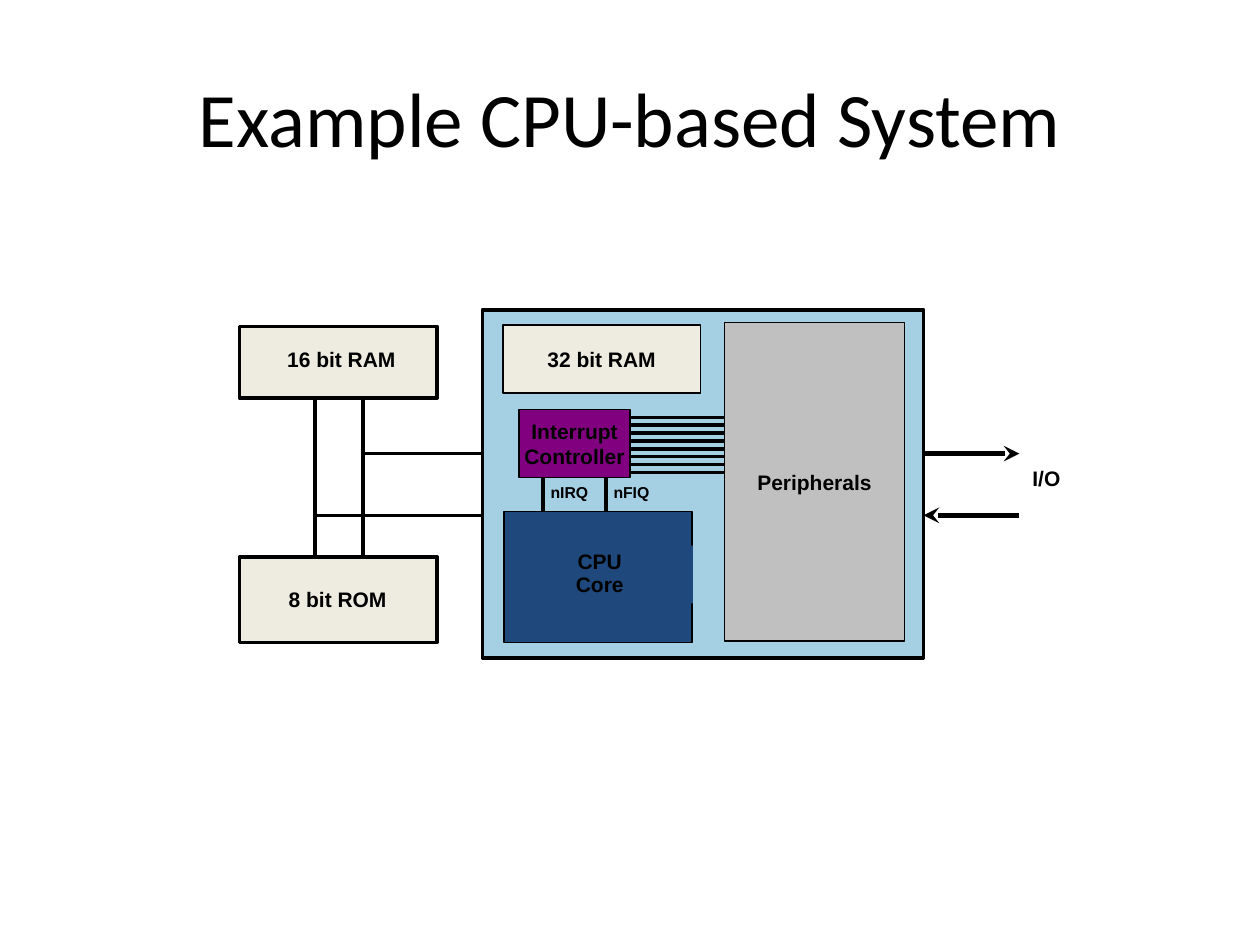
import pptx
import pptx.dml.color
import pptx.enum.shapes
import pptx.enum.text
import pptx.oxml.ns
import pptx.util
from lxml import etree

PX = 9144  # EMU in one px, 100 px to the inch
BLACK, CREAM, NAVY = "000000", "EEECE1", "1F497D"
ALIGN = pptx.enum.text.PP_ALIGN
ANCHOR = pptx.enum.text.MSO_ANCHOR


def px(*lengths):
    return [pptx.util.Emu(round(length * PX)) for length in lengths]


def color(value):
    return pptx.dml.color.RGBColor.from_string(value)


def write(shape, text, size=12, font="Arial", bold=True, align=ALIGN.CENTER,
          anchor=ANCHOR.MIDDLE, wrap=False, spacing=None, margins=(9, 5)):
    frame = shape.text_frame
    frame.word_wrap = wrap
    frame.vertical_anchor = anchor
    frame.margin_left = frame.margin_right = px(margins[0])[0]
    frame.margin_top = frame.margin_bottom = px(margins[1])[0]
    frame.text = text
    for paragraph in frame.paragraphs:
        paragraph.alignment = align
        if spacing:
            paragraph.line_spacing = spacing
        paragraph.font.size = pptx.util.Pt(size)
        paragraph.font.name = font
        paragraph.font.bold = bold
        paragraph.font.color.rgb = color(BLACK)


def add_block(slide, box, fill, line_width=1):
    shape = slide.shapes.add_shape(pptx.enum.shapes.MSO_SHAPE.RECTANGLE, *px(*box))
    shape.shadow.inherit = False
    shape.fill.solid()
    shape.fill.fore_color.rgb = color(fill)
    if line_width:
        shape.line.color.rgb = color(BLACK)
        shape.line.width = pptx.util.Pt(line_width)
    else:
        shape.line.fill.background()
    return shape


def add_label(slide, box, text, **formatting):
    options = {"anchor": ANCHOR.TOP, "wrap": True, "spacing": 0.9, **formatting}
    write(slide.shapes.add_textbox(*px(*box)), text, **options)


def add_wire(slide, start, end, width=2, arrow=False):
    wire = slide.shapes.add_connector(
        pptx.enum.shapes.MSO_CONNECTOR.STRAIGHT, *px(*start, *end))
    wire.line.color.rgb = color(BLACK)
    wire.line.width = pptx.util.Pt(width)
    if arrow:
        etree.SubElement(wire.line._get_or_add_ln(),
                         pptx.oxml.ns.qn("a:tailEnd"), type="stealth")
    etree.SubElement(wire._element.spPr, pptx.oxml.ns.qn("a:effectLst"))


def add_title(slide, box, text):
    title = slide.shapes.title
    title.left, title.top, title.width, title.height = px(*box)
    write(title, text, size=44, font="Calibri", bold=False, wrap=True, margins=(8, 4))


def add_memory(slide, box, text, label_box):
    """Draw an external memory; label_box is relative to the memory's corner."""
    left, top, width, height = box
    add_block(slide, box, CREAM, 2)
    dx, dy, label_width, label_height = label_box
    add_label(slide, (left + dx, top + dy, label_width, label_height), text)


def add_buses(slide, box):
    """Join the memories above and below the box to the chip on its right."""
    left, top, width, height = box
    right, bottom = left + width, top + height
    for x, y in ((left + 38, top + 44), (left, top + 93)):
        add_wire(slide, (x, top), (x, bottom))
        add_wire(slide, (right, y), (x, y))


def add_core(slide, box):
    left, top, width, height = box
    add_block(slide, box, NAVY)
    name = add_block(slide, (left + 2, top + 27, width - 1, 46), NAVY, line_width=0)
    write(name, "CPU\nCore", anchor=ANCHOR.TOP, wrap=True, spacing=0.9)


def add_interrupts(slide, box):
    """Draw the controller, its eight inputs and its two outputs to the core."""
    left, top, width, height = box
    right = left + width
    for row in range(8):
        y = top + 6.25 * (row + 1)
        add_wire(slide, (right + 75, y), (right, y))
    for dx, text in ((19, "nIRQ"), (69, "nFIQ")):
        x = left + dx
        add_wire(slide, (x, top + 81), (x, top + 50))
        add_label(slide, (x, top + 56, 44, 20), text, size=9, align=ALIGN.LEFT,
                  spacing=None, margins=(6, 2))
    write(add_block(slide, box, "800080"), "Interrupt\nController")


def add_chip(slide, box):
    left, top, width, height = box
    add_block(slide, box, "A5D0E3", 2.25)
    write(add_block(slide, (left + 16, top + 12, 157, 54), CREAM), "32 bit RAM")
    add_core(slide, (left + 17, top + 160, 149, 104))
    add_interrupts(slide, (left + 29, top + 79, 88, 54))
    write(add_block(slide, (left + 192, top + 10, 143, 253), "C0C0C0"), "Peripherals")


def add_io(slide, box):
    left, top, width, height = box
    right, bottom = left + width, top + height
    add_wire(slide, (left, top), (right, top), 3, arrow=True)
    add_wire(slide, (right, bottom), (left, bottom), 3, arrow=True)
    add_label(slide, (right - 5, top + 7, 53, 28), "I/O")


def main():
    presentation = pptx.Presentation()
    presentation.slide_width, presentation.slide_height = px(1000, 750)
    slide = presentation.slides.add_slide(presentation.slide_layouts[5])
    add_title(slide, (50, 30, 900, 125), "Example CPU-based System")
    add_chip(slide, (383, 246, 350, 276))
    add_memory(slide, (190, 259, 157, 57), "16 bit RAM", (3, 13, 156, 28))
    add_memory(slide, (190, 442, 157, 68), "8 bit ROM", (-2, 21, 160, 28))
    add_buses(slide, (250, 316, 132, 126))
    add_io(slide, (733, 360, 76, 49))
    presentation.save("out.pptx")


if __name__ == "__main__":
    main()
